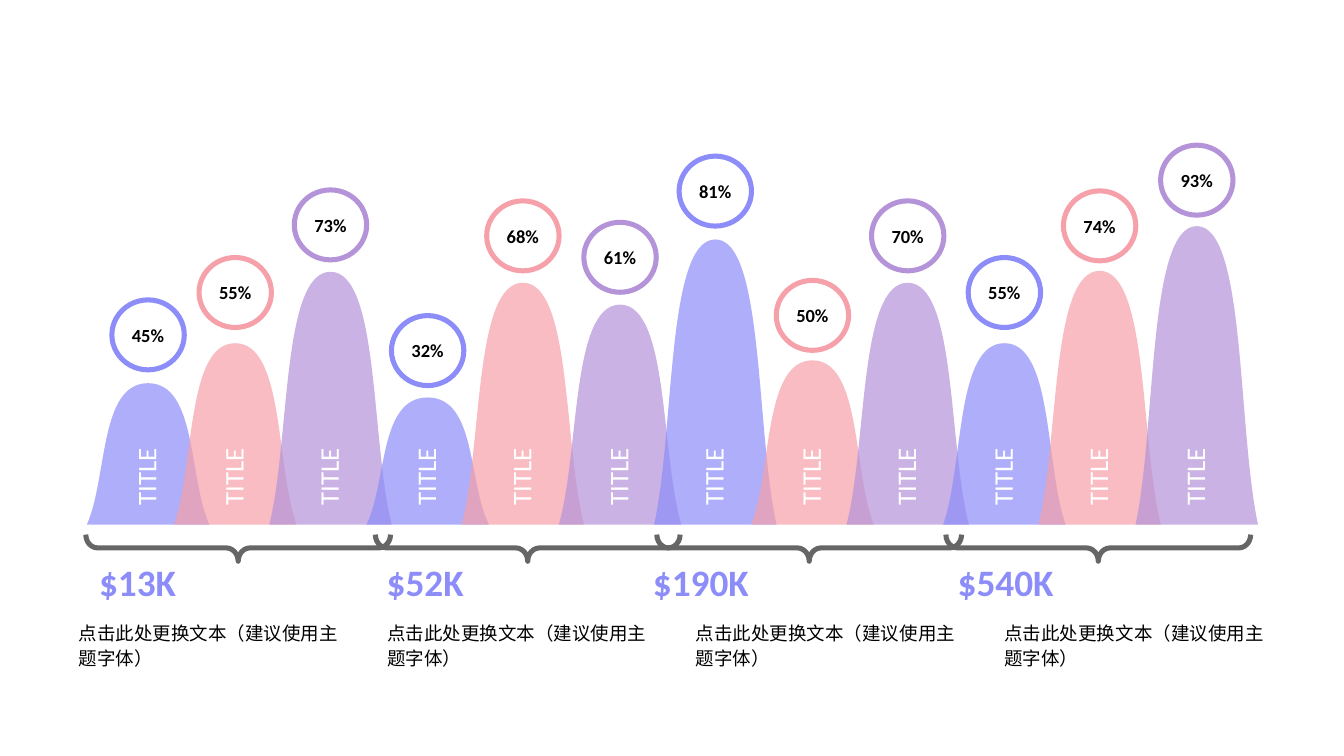
from lxml.etree import SubElement
from pptx import Presentation
from pptx.dml.color import RGBColor
from pptx.enum.shapes import MSO_SHAPE
from pptx.enum.text import MSO_ANCHOR, PP_ALIGN
from pptx.oxml.ns import qn
from pptx.util import Cm, Pt

BLUE = RGBColor(0x8C, 0x8D, 0xF9)
PINK = RGBColor(0xF6, 0xA0, 0xA9)
PURPLE = RGBColor(0xB4, 0x93, 0xD9)
GRAY = RGBColor(0x66, 0x66, 0x66)
WHITE = RGBColor(0xFF, 0xFF, 0xFF)
BLACK = RGBColor(0x00, 0x00, 0x00)
HILL_COLORS = [BLUE, PINK, PURPLE]

BASELINE = 11.02
HILL_WIDTH = 2.57
BADGE_WIDTH, BADGE_HEIGHT = 1.52, 1.47
BRACE_DEPTH, BRACE_SPAN = 0.56, 6.4
CAPTION = "点击此处更换文本（建议使用主题字体）"

# center, height, badge top, share
HILLS = [
    (3.11, 2.97, 6.30, "45%"),
    (4.94, 3.81, 5.41, "55%"),
    (6.94, 5.31, 3.99, "73%"),
    (8.98, 2.67, 6.63, "32%"),
    (10.98, 5.08, 4.22, "68%"),
    (13.02, 4.62, 4.67, "61%"),
    (15.02, 5.99, 3.28, "81%"),
    (17.06, 3.45, 5.89, "50%"),
    (19.06, 5.08, 4.22, "70%"),
    (21.09, 3.81, 5.41, "55%"),
    (23.09, 5.33, 4.01, "74%"),
    (25.13, 6.27, 3.05, "93%"),
]
# brace center, amount left, amount
GROUPS = [
    (5.0, 1.83, "$13K"),
    (11.08, 7.87, "$52K"),
    (16.99, 13.46, "$190K"),
    (23.06, 19.86, "$540K"),
]


def write(frame, text, size, color, bold=False, align=PP_ALIGN.LEFT, spacing=None):
    paragraph = frame.paragraphs[0]
    paragraph.alignment = align
    if spacing:
        paragraph.line_spacing = spacing
    run = paragraph.add_run()
    run.text = text
    run.font.name = "Calibri"
    run.font.size = Pt(size)
    run.font.bold = bold
    run.font.color.rgb = color


def set_margins(frame, left, top, right, bottom):
    frame.margin_left, frame.margin_top = Cm(left), Cm(top)
    frame.margin_right, frame.margin_bottom = Cm(right), Cm(bottom)


def bend(hill):
    segments = list(hill._element.iter(qn("a:lnTo")))
    for curve in (segments[:3], segments[4:7]):
        first = curve[0]
        first.tag = qn("a:cubicBezTo")
        for segment in curve[1:]:
            first.append(segment[0])
            segment.getparent().remove(segment)


def draw_hill(slide, box, color):
    left, top, width, height = box
    outline = [(0.9, 0), (0.83, 0.67), (1, 1), (0, 1), (0.17, 0.67), (0.1, 0), (0.5, 0)]
    points = [(Cm(left + x * width), Cm(top + y * height)) for x, y in outline]
    builder = slide.shapes.build_freeform(*points[-1])
    builder.add_line_segments(points, close=True)
    hill = builder.convert_to_shape()
    bend(hill)
    hill.shadow.inherit = False
    hill.fill.solid()
    hill.fill.fore_color.rgb = color
    fill_color = hill._element.spPr.find(qn("a:solidFill"))[0]
    SubElement(fill_color, qn("a:alpha"), val="70000")
    hill.line.fill.background()
    frame = hill.text_frame
    frame._txBody.bodyPr.set("vert", "vert270")
    frame.vertical_anchor = MSO_ANCHOR.MIDDLE
    set_margins(frame, 0.1, 0.3, 0.2, 0.4)
    write(frame, "TITLE", 16, WHITE)


def draw_badge(slide, box, color, share):
    badge = slide.shapes.add_shape(MSO_SHAPE.OVAL, *map(Cm, box))
    badge.shadow.inherit = False
    badge.fill.solid()
    badge.fill.fore_color.rgb = WHITE
    badge.line.color.rgb = color
    badge.line.width = Pt(3)
    frame = badge.text_frame
    frame.word_wrap = False
    frame.vertical_anchor = MSO_ANCHOR.MIDDLE
    set_margins(frame, 0, 0.13, 0, 0.13)
    write(frame, share, 11, BLACK, bold=True, align=PP_ALIGN.CENTER)


def draw_brace(slide, box):
    left, top, width, height = box
    brace = slide.shapes.add_shape(
        MSO_SHAPE.RIGHT_BRACE,
        Cm(left + (width - height) / 2), Cm(top + (height - width) / 2),
        Cm(height), Cm(width),
    )
    brace.rotation = 90
    brace.adjustments[0] = 0.44
    brace.adjustments[1] = 0.5
    brace.shadow.inherit = False
    brace.fill.background()
    brace.line.color.rgb = GRAY
    brace.line.width = Pt(3)


def draw_amount(slide, box, amount):
    frame = slide.shapes.add_textbox(*map(Cm, box)).text_frame
    frame.word_wrap = True
    write(frame, amount, 22.2, BLUE, bold=True)


def draw_caption(slide, box):
    frame = slide.shapes.add_textbox(*map(Cm, box)).text_frame
    frame.word_wrap = True
    set_margins(frame, 0, 0, 0, 0)
    write(frame, CAPTION, 11, BLACK, spacing=1.1)


def main():
    deck = Presentation()
    deck.slide_width, deck.slide_height = Cm(28.22), Cm(15.88)
    slide = deck.slides.add_slide(deck.slide_layouts[6])
    for index, (center, height, badge_top, share) in enumerate(HILLS):
        color = HILL_COLORS[index % len(HILL_COLORS)]
        draw_hill(slide, (center - HILL_WIDTH / 2, BASELINE - height, HILL_WIDTH, height), color)
        badge_left = center - BADGE_WIDTH / 2
        draw_badge(slide, (badge_left, badge_top, BADGE_WIDTH, BADGE_HEIGHT), color, share)
    for index, (center, amount_left, amount) in enumerate(GROUPS):
        draw_brace(slide, (center - BRACE_SPAN / 2, 11.23, BRACE_SPAN, BRACE_DEPTH))
        draw_amount(slide, (amount_left, 11.63, 3.68, 1.07), amount)
        draw_caption(slide, (1.65 + index * 6.48, 13.03, 5.46, 1.09))
    deck.save("out.pptx")


if __name__ == "__main__":
    main()
